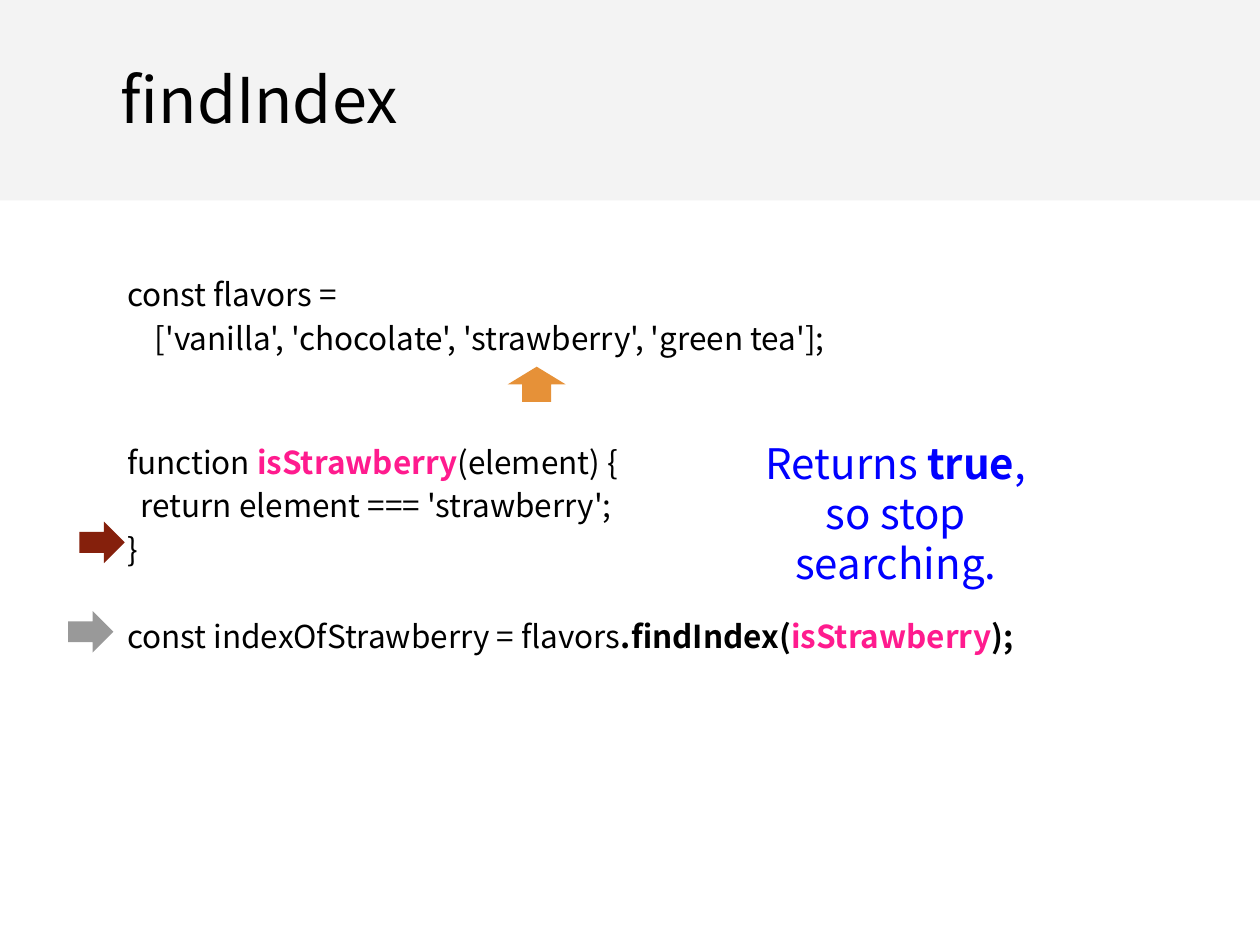
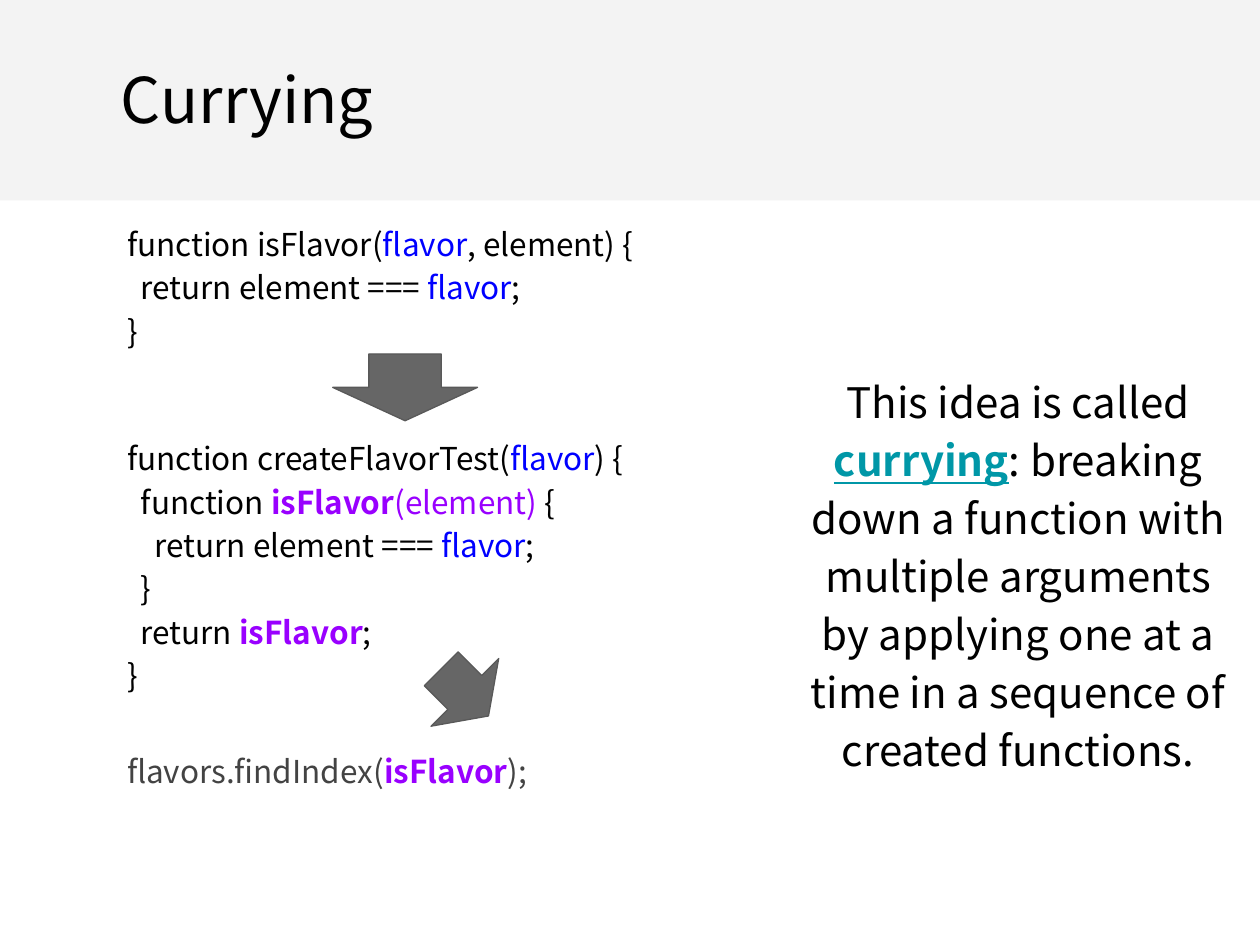
from dataclasses import dataclass
from typing import Optional

import pptx
import pptx.dml.color
import pptx.enum.shapes
import pptx.enum.text
import pptx.util

PX = 9144
TITLE_ONLY = 5
SHAPE = pptx.enum.shapes.MSO_SHAPE
ALIGN = pptx.enum.text.PP_ALIGN
ANCHOR = pptx.enum.text.MSO_ANCHOR


@dataclass(frozen=True)
class Theme:
    font: str = "Noto Sans CJK SC"
    title_size: int = 36
    note_size: int = 24
    code_size: int = 18
    code_spacing: float = 1.15
    inset: int = 10
    indent: int = 11
    code_gap: int = 35
    band: str = "F3F3F3"
    text: str = "000000"
    muted: str = "434343"
    blue: str = "0000FF"
    pink: str = "FF1B8E"
    purple: str = "9900FF"
    teal: str = "0097A7"
    orange: str = "E69138"
    brown: str = "85200C"
    gray: str = "999999"
    arrow: str = "666666"
    arrow_line: str = "595959"


THEME = Theme()


@dataclass(frozen=True)
class Box:
    left: int
    top: int
    width: int
    height: int

    def emu(self) -> tuple[int, ...]:
        return tuple(v * PX for v in (self.left, self.top, self.width, self.height))


@dataclass(frozen=True)
class Span:
    text: str
    color: str = THEME.text
    bold: bool = False
    underline: bool = False


@dataclass(frozen=True)
class Line:
    spans: tuple[Span, ...]
    depth: int = 0
    gap: int = 0


@dataclass(frozen=True)
class TextBlock:
    box: Box
    lines: tuple[Line, ...]
    size: int = THEME.code_size
    spacing: float = THEME.code_spacing
    align: ALIGN = ALIGN.LEFT
    anchor: ANCHOR = ANCHOR.TOP


@dataclass(frozen=True)
class Arrow:
    box: Box
    kind: SHAPE
    fill: str
    line: Optional[str] = None
    rotation: int = 0


@dataclass(frozen=True)
class SlideContent:
    title: str
    blocks: tuple[TextBlock, ...]
    arrows: tuple[Arrow, ...]


def line(*parts: str | Span, depth: int = 0, gap: int = 0) -> Line:
    spans = tuple(Span(part) if isinstance(part, str) else part for part in parts)
    return Line(spans, depth, gap)


def rgb(color: str) -> pptx.dml.color.RGBColor:
    return pptx.dml.color.RGBColor.from_string(color)


def write_text(tf, block: TextBlock) -> None:
    tf.word_wrap = True
    tf.auto_size = pptx.enum.text.MSO_AUTO_SIZE.NONE
    tf.vertical_anchor = block.anchor
    tf.margin_left = tf.margin_right = THEME.inset * PX
    tf.margin_top = tf.margin_bottom = THEME.inset * PX
    for i, content in enumerate(block.lines):
        p = tf.paragraphs[0] if i == 0 else tf.add_paragraph()
        p.alignment = block.align
        p.line_spacing = block.spacing
        p.space_before = content.gap * PX
        pPr = p._p.get_or_add_pPr()
        pPr.set("marL", str(content.depth * THEME.indent * PX))
        pPr.set("indent", "0")
        for span in content.spans:
            r = p.add_run()
            r.text = span.text
            r.font.name = THEME.font
            r.font.size = pptx.util.Pt(block.size)
            r.font.color.rgb = rgb(span.color)
            r.font.bold = span.bold
            r.font.underline = span.underline


def add_block(s, block: TextBlock) -> None:
    write_text(s.shapes.add_textbox(*block.box.emu()).text_frame, block)


def add_filled(s, kind: SHAPE, box: Box, fill: str, outline: Optional[str] = None):
    sp = s.shapes.add_shape(kind, *box.emu())
    sp.shadow.inherit = False
    sp.fill.solid()
    sp.fill.fore_color.rgb = rgb(fill)
    if outline:
        sp.line.color.rgb = rgb(outline)
        sp.line.width = pptx.util.Pt(0.75)
    else:
        sp.line.fill.background()
    return sp


def add_arrow(s, arrow: Arrow) -> None:
    sp = add_filled(s, arrow.kind, arrow.box, arrow.fill, arrow.line)
    sp.rotation = arrow.rotation


def set_title(s, text: str) -> None:
    title = s.shapes.title
    box = Box(86, 38, 829, 83)
    title.left, title.top, title.width, title.height = box.emu()
    write_text(title.text_frame, TextBlock(box, (line(text),), THEME.title_size, 1.0))


def add_layout_band(s) -> None:
    band = add_filled(s, SHAPE.RECTANGLE, Box(0, 0, 1000, 159), THEME.band)
    s.slide_layout.shapes.element.insert(2, band.element)


IS_STRAWBERRY = Span("isStrawberry", THEME.pink, bold=True)
IS_FLAVOR = Span("isFlavor", THEME.purple, bold=True)
FLAVOR = Span("flavor", THEME.blue)

FIND_INDEX = SlideContent(
    "findIndex",
    (
        TextBlock(Box(91, 204, 829, 94), (
            line("const flavors ="),
            line("['vanilla', 'chocolate', 'strawberry', 'green tea'];", depth=2),
        )),
        TextBlock(Box(91, 337, 829, 200), (
            line("function ", IS_STRAWBERRY, "(element) {"),
            line("return element === 'strawberry';", depth=1),
            line("}"),
            line("const indexOfStrawberry = flavors", Span(".findIndex(", bold=True),
                 IS_STRAWBERRY, Span(");", bold=True), gap=THEME.code_gap),
        )),
        TextBlock(Box(584, 337, 254, 94), (
            line(Span("Returns ", THEME.blue), Span("true", THEME.blue, bold=True),
                 Span(", so stop searching.", THEME.blue)),
        ), THEME.note_size, 1.0, ALIGN.CENTER),
    ),
    (
        Arrow(Box(54, 485, 36, 33), SHAPE.RIGHT_ARROW, THEME.gray),
        Arrow(Box(63, 414, 36, 33), SHAPE.RIGHT_ARROW, THEME.brown),
        Arrow(Box(412, 282, 28, 46), SHAPE.RIGHT_ARROW, THEME.orange, rotation=270),
    ),
)

CURRYING = SlideContent(
    "Currying",
    (
        TextBlock(Box(91, 164, 552, 121), (
            line("function isFlavor(", FLAVOR, ", element) {"),
            line("return element === ", FLAVOR, ";", depth=1),
            line("}"),
        )),
        TextBlock(Box(91, 334, 829, 246), (
            line("function createFlavorTest(", FLAVOR, ") {"),
            line("function ", IS_FLAVOR, Span("(element)", THEME.purple), " {", depth=1),
            line("return element === ", FLAVOR, ";", depth=2),
            line("}", depth=1),
            line("return ", IS_FLAVOR, ";", depth=1),
            line("}"),
        )),
        TextBlock(Box(625, 283, 366, 349), (
            line("This idea is called ",
                 Span("currying", THEME.teal, bold=True, underline=True),
                 ": breaking down a function with multiple arguments by applying "
                 "one at a time in a sequence of created functions."),
        ), THEME.note_size, align=ALIGN.CENTER),
        TextBlock(Box(91, 564, 405, 91), (
            line(Span("flavors.findIndex(", THEME.muted), IS_FLAVOR,
                 Span(");", THEME.muted)),
        ), anchor=ANCHOR.MIDDLE),
    ),
    (
        Arrow(Box(264, 281, 115, 53), SHAPE.DOWN_ARROW, THEME.arrow, THEME.arrow_line),
        Arrow(Box(331, 523, 76, 53), SHAPE.DOWN_ARROW, THEME.arrow, THEME.arrow_line, 315),
    ),
)


def main() -> None:
    prs = pptx.Presentation()
    prs.slide_width, prs.slide_height = 1000 * PX, 750 * PX
    for i, content in enumerate((FIND_INDEX, CURRYING)):
        s = prs.slides.add_slide(prs.slide_layouts[TITLE_ONLY])
        if i == 0:
            add_layout_band(s)
        set_title(s, content.title)
        for block in content.blocks:
            add_block(s, block)
        for arrow in content.arrows:
            add_arrow(s, arrow)
    prs.save("out.pptx")


if __name__ == "__main__":
    main()
